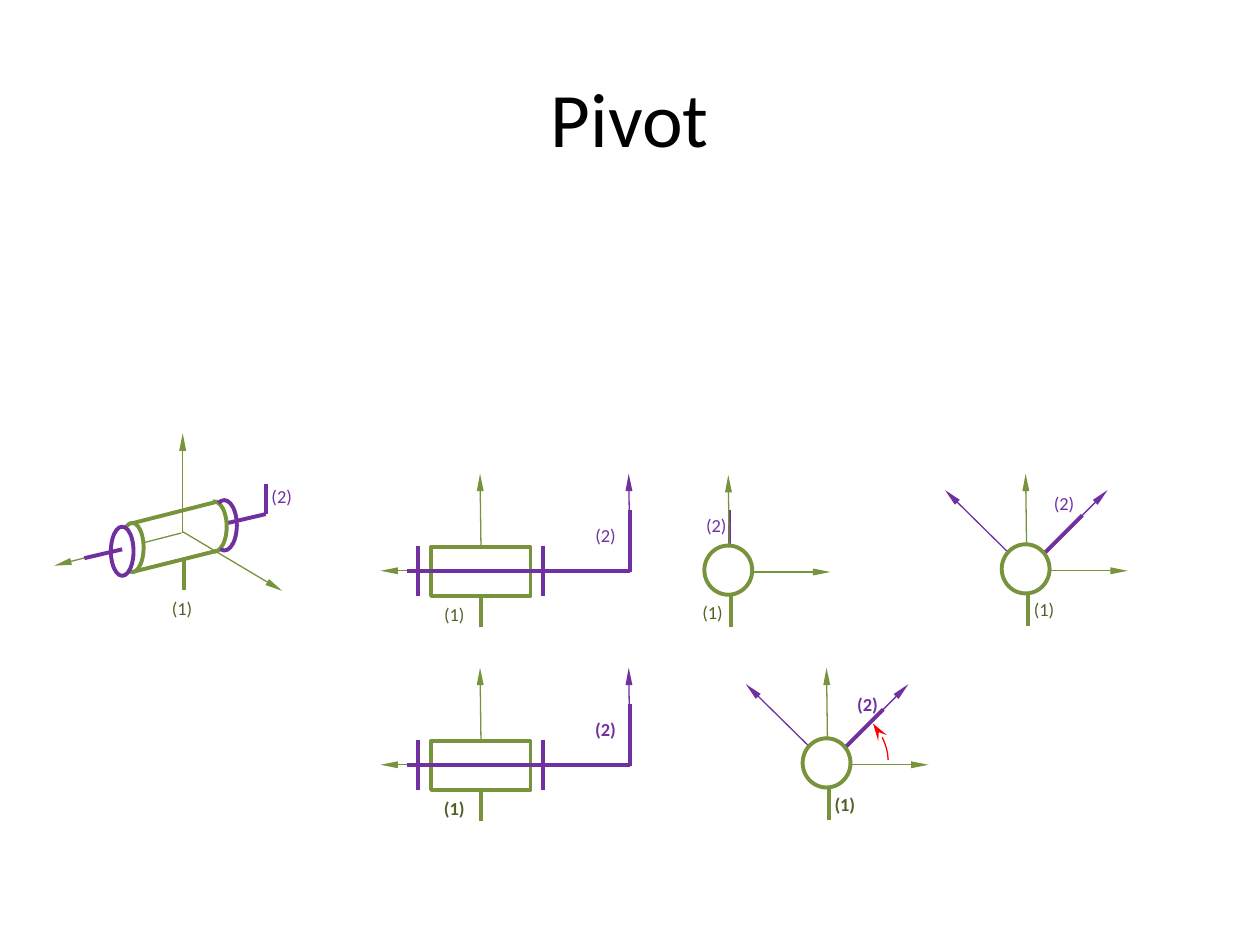
from lxml import etree
from pptx import Presentation
from pptx.dml.color import RGBColor
from pptx.enum.shapes import MSO_CONNECTOR, MSO_SHAPE
from pptx.enum.text import MSO_ANCHOR, PP_ALIGN
from pptx.oxml.ns import qn
from pptx.util import Inches, Pt

STRAIGHT = MSO_CONNECTOR.STRAIGHT
ARC, OVAL, RECTANGLE = MSO_SHAPE.ARC, MSO_SHAPE.OVAL, MSO_SHAPE.RECTANGLE
CENTER, MIDDLE = PP_ALIGN.CENTER, MSO_ANCHOR.MIDDLE
FONT = "Calibri"
THIN, THICK = 0.75, 2.25
COLORS = {
    "fixed": "77933C",
    "fixed_label": "4F6228",
    "moving": "7030A0",
    "rotation": "FF0000",
    "title": "000000",
    "paper": "FFFFFF",
}


def color(name):
    """Return the named palette colour."""
    return RGBColor.from_string(COLORS[name])


def add_line_end(shape, tag, kind, width, length):
    """Put an arrowhead or dot on one end of a line."""
    line = shape.line._get_or_add_ln()
    etree.SubElement(line, qn(tag), type=kind, w=width, len=length)


def add_line(shapes, origin, start, end, ink, weight=THICK):
    """Draw a line between two points measured from origin."""
    points = [Inches(origin[i % 2] + value) for i, value in enumerate((*start, *end))]
    connector = shapes.add_connector(STRAIGHT, *points)
    connector.line.color.rgb = color(ink)
    connector.line.width = Pt(weight)
    etree.SubElement(connector._element.spPr, qn("a:effectLst"))
    return connector


def add_arrow(shapes, origin, start, end, ink):
    """Draw a thin axis with a slim arrowhead."""
    arrow = add_line(shapes, origin, start, end, ink, THIN)
    add_line_end(arrow, "a:tailEnd", "triangle", "sm", "lg")


def add_outline(shapes, kind, origin, box, ink, weight=THICK, angles=()):
    """Draw an outlined shape; arcs take start and end angles in degrees."""
    left, top, width, height = box
    shape = shapes.add_shape(kind, Inches(origin[0] + left), Inches(origin[1] + top),
                             Inches(width), Inches(height))
    shape.shadow.inherit = False
    shape.line.color.rgb = color(ink)
    shape.line.width = Pt(weight)
    if angles:
        shape.fill.background()
        for index, angle in enumerate(angles):
            shape.adjustments[index] = angle * 0.6
    else:
        shape.fill.solid()
        shape.fill.fore_color.rgb = color("paper")
    return shape


def add_text(shapes, box, text, size, ink, bold=False):
    """Add a centred single-run text box."""
    text_box = shapes.add_textbox(*map(Inches, box))
    frame = text_box.text_frame
    frame.word_wrap = True
    frame.vertical_anchor = MIDDLE
    paragraph = frame.paragraphs[0]
    paragraph.alignment = CENTER
    run = paragraph.add_run()
    run.text = text
    run.font.name = FONT
    run.font.size = Pt(size)
    run.font.bold = bold
    run.font.color.rgb = color(ink)


def add_labels(shapes, origin, fixed, moving, bold=False):
    """Number the fixed part (1) and the moving part (2)."""
    for text, (x, y), ink in (("(1)", fixed, "fixed_label"), ("(2)", moving, "moving")):
        add_text(shapes, (origin[0] + x, origin[1] + y, 0.39, 0.29), text, 10.5, ink, bold)


def draw_perspective(shapes, origin):
    """Draw the pivot in perspective around the frame origin."""
    add_arrow(shapes, origin, (-0.01, 0), (-1.02, 0.26), "fixed")
    add_line(shapes, origin, (0.28, -0.25), (-0.39, -0.08), "fixed")
    add_arrow(shapes, origin, (0, 0), (0, -0.79), "fixed")
    add_arrow(shapes, origin, (0, -0.01), (0.79, 0.46), "fixed")
    add_line(shapes, origin, (0.01, 0.45), (0.01, 0.21), "fixed")
    add_line(shapes, origin, (0.28, 0.14), (-0.4, 0.31), "fixed")
    add_outline(shapes, OVAL, origin, (-0.49, -0.08, 0.18, 0.39), "fixed")
    add_line(shapes, origin, (0.66, -0.15), (0.36, -0.08), "moving")
    add_outline(shapes, ARC, origin, (0.15, -0.25, 0.2, 0.4), "fixed", angles=(267.26, 88.87))
    add_line(shapes, origin, (0.66, -0.39), (0.66, -0.15), "moving")
    add_outline(shapes, OVAL, origin, (-0.57, -0.05, 0.18, 0.39), "moving")
    add_line(shapes, origin, (-0.48, 0.13), (-0.78, 0.2), "moving")
    add_outline(shapes, ARC, origin, (0.23, -0.26, 0.2, 0.4), "moving", angles=(255.62, 99.33))
    add_labels(shapes, origin, (-0.2, 0.45), (0.59, -0.44))


def draw_side_view(shapes, origin, bold=False):
    """Draw the pivot seen across its axis."""
    add_arrow(shapes, origin, (0, 0), (-0.01, -0.77), "fixed")
    add_arrow(shapes, origin, (0, 0), (-0.8, 0), "fixed")
    add_outline(shapes, RECTANGLE, origin, (-0.4, -0.19, 0.79, 0.39), "fixed", 2)
    add_line(shapes, origin, (0, 0.45), (0, 0.2), "fixed")
    add_line(shapes, origin, (1.18, -0.48), (1.18, 0.01), "moving")
    add_arrow(shapes, origin, (1.18, 0), (1.17, -0.77), "moving")
    add_line(shapes, origin, (1.18, 0), (-0.59, 0), "moving")
    for x in (-0.5, 0.49):
        add_line(shapes, origin, (x, -0.2), (x, 0.2), "moving")
    add_labels(shapes, origin, (-0.41, 0.2), (0.79, -0.43), bold)


def draw_end_view(shapes, origin, labels, turned=True, bold=False):
    """Draw the pivot seen along its axis, with its crank upright or turned."""
    crank = add_line(shapes, origin, (0.44, -0.44) if turned else (0, -0.49), (0, 0), "moving")
    add_line_end(crank, "a:tailEnd", "oval", "sm", "sm")
    if turned:
        for x in (-0.65, 0.64):
            add_arrow(shapes, origin, (0, 0), (x, -0.64), "moving")
    for end in ((-0.01, -0.77), (0.8, 0)):
        add_arrow(shapes, origin, (0, 0), end, "fixed")
    add_line(shapes, origin, (0.01, 0.44), (0.01, 0), "fixed")
    add_outline(shapes, OVAL, origin, (-0.2, -0.21, 0.38, 0.39), "fixed")
    add_labels(shapes, origin, *labels, bold)


def draw_rotation(shapes, origin):
    """Draw the curved arrow that shows the rotation."""
    box = (-0.49, -0.49, 0.97, 0.96)
    arc = add_outline(shapes, ARC, origin, box, "rotation", THIN, (318.97, 356.66))
    add_line_end(arc, "a:headEnd", "stealth", "med", "lg")


def main():
    """Build and save the slide."""
    presentation = Presentation()
    presentation.slide_width, presentation.slide_height = Inches(10), Inches(7.5)
    slide = presentation.slides.add_slide(presentation.slide_layouts[6])
    add_text(slide.shapes, (0.5, 0.3, 9, 1.25), "Pivot", 44, "title")
    draw_perspective(slide.shapes, (1.45, 4.23))
    draw_side_view(slide.shapes, (3.82, 4.53))
    draw_end_view(slide.shapes, (5.79, 4.54), ((-0.33, 0.17), (-0.3, -0.52)), turned=False)
    draw_end_view(slide.shapes, (8.15, 4.53), ((-0.06, 0.16), (0.1, -0.68)))
    group = slide.shapes.add_group_shape()
    draw_side_view(group.shapes, (3.82, 6.07), bold=True)
    draw_end_view(group.shapes, (6.57, 6.07), ((-0.06, 0.17), (0.12, -0.63)), bold=True)
    draw_rotation(group.shapes, (6.57, 6.07))
    presentation.save("out.pptx")


if __name__ == "__main__":
    main()
